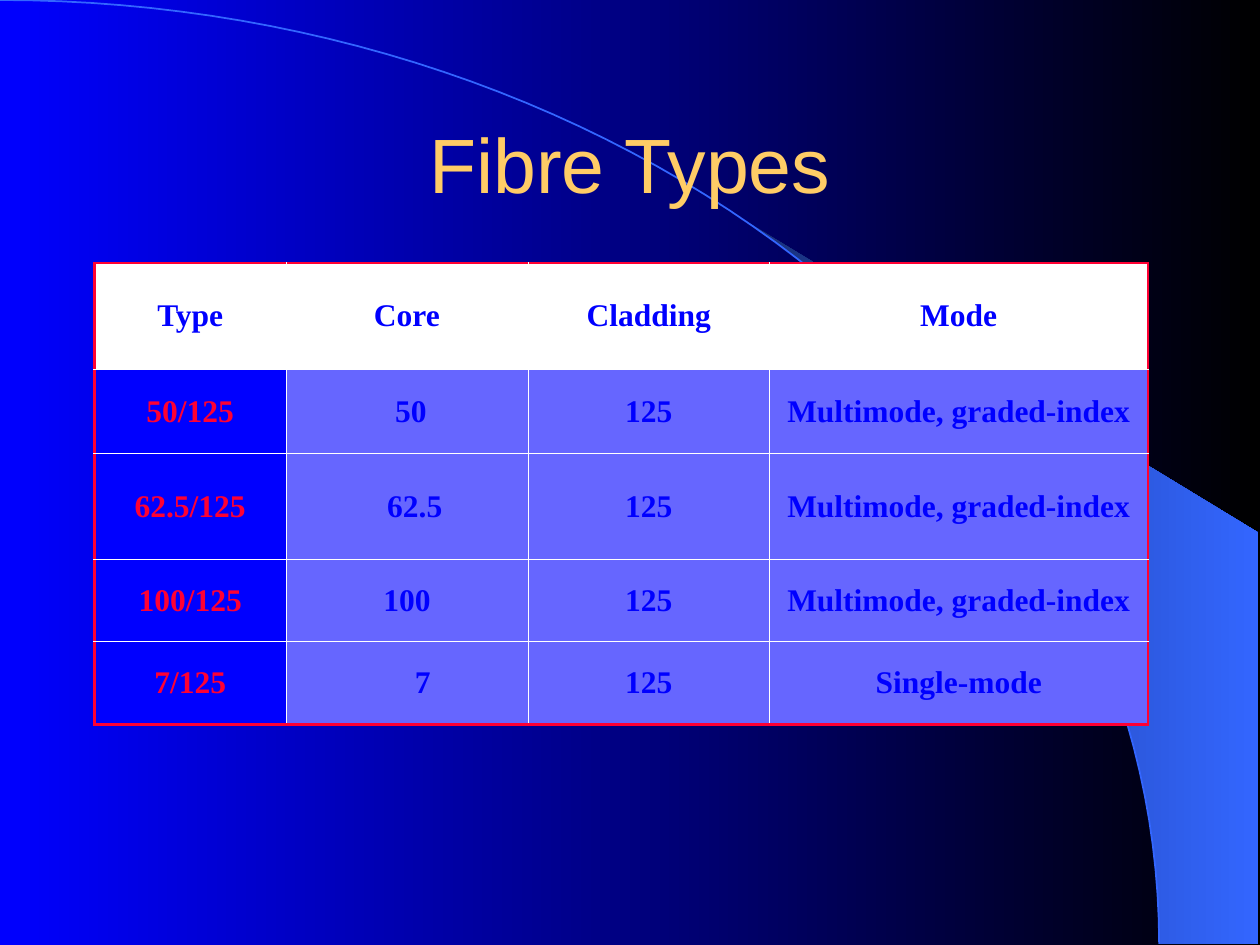
import math
from dataclasses import dataclass

from lxml import etree
from pptx import Presentation
from pptx import util as u
from pptx.dml import color as clr
from pptx.enum import text as tx
from pptx.oxml import ns


@dataclass(frozen=True)
class Theme:
    blue: str = "0000FF"
    black: str = "000000"
    white: str = "FFFFFF"
    red: str = "FF0033"
    lilac: str = "6666FF"
    gold: str = "FFCC66"
    sky: str = "3366FF"
    navy: str = "182F76"
    head: str = "Arial"
    body: str = "Times New Roman"
    big: int = 44
    small: int = 18
    thick: float = 1.47
    thin: float = 0.45


T = Theme()
COLS = [1.52, 1.92, 1.92, 3]
ROWS = [0.84, 0.67, 0.84, 0.65, 0.66]
MULTI = "Multimode, graded-index"
DATA = [
    ["Type", "Core", "Cladding", "Mode"],
    ["50/125", "50", "125", MULTI],
    ["62.5/125", "62.5", "125", MULTI],
    ["100/125", "100", "125", MULTI],
    ["7/125", "7", "125", "Single-mode"],
]
SHIFT = [0, 1, 2, 0, 4]
STEP = 0.0625


def rgb(code):
    return clr.RGBColor.from_string(code)


def apply(obj, fmt):
    for key, val in fmt.items():
        setattr(obj, key, val)


def blend(fill, first, last):
    fill.gradient()
    fill.gradient_angle = 0
    for stop, code in zip(fill.gradient_stops, (first, last)):
        stop.color.rgb = rgb(code)


def write(frame, words, face, size, code, bold=False):
    frame.text = words
    para = frame.paragraphs[0]
    apply(para, {"alignment": tx.PP_ALIGN.CENTER, "space_before": u.Pt(0)})
    font = para.runs[0].font
    apply(font, {"name": face, "size": u.Pt(size), "bold": bold})
    font.color.rgb = rgb(code)


def outline(slide, pts, close):
    pts = [(u.Inches(x), u.Inches(y)) for x, y in pts]
    pen = slide.shapes.build_freeform(*pts[0])
    pen.add_line_segments(pts[1:], close=close)
    shape = pen.convert_to_shape()
    shape.shadow.inherit = False
    return shape


def curve(box, start, count=60):
    left, top, wide, high = box
    turn = math.pi / 2 - start
    angles = [start + turn * i / count for i in range(count + 1)]
    return [(left + wide * math.sin(a), top + high * (1 - math.cos(a)))
            for a in angles]


def add_decor(slide, box):
    left, top, wide, high = box
    blend(slide.background.fill, T.blue, T.black)
    edge = left + 9.99
    wedge = curve(box, math.asin(5.89 / wide))
    wedge += [(edge, top + high), (edge, top + 4.23)]
    flare = outline(slide, wedge, True)
    blend(flare.fill, T.navy, T.sky)
    flare.line.fill.background()
    arc = outline(slide, curve(box, 0), False)
    arc.fill.background()
    arc.line.color.rgb = rgb(T.sky)
    arc.line.width = u.Pt(1)


def add_title(slide, box, words):
    title = slide.shapes.title
    names = ("left", "top", "width", "height")
    apply(title, dict(zip(names, map(u.Inches, box))))
    frame = title.text_frame
    apply(frame, {"auto_size": tx.MSO_AUTO_SIZE.NONE, "word_wrap": True,
                  "vertical_anchor": tx.MSO_ANCHOR.MIDDLE})
    write(frame, words, T.head, T.big, T.gold)
    slide.shapes._spTree.append(title._element)


def add_edge(cell, side, outer):
    code, width = (T.red, T.thick) if outer else (T.white, T.thin)
    prop = cell._tc.get_or_add_tcPr()
    line = etree.SubElement(prop, ns.qn(f"a:ln{side}"), w=str(u.Pt(width)))
    fill = etree.SubElement(line, ns.qn("a:solidFill"))
    etree.SubElement(fill, ns.qn("a:srgbClr"), val=code)


def add_grid(slide, box):
    shape = slide.shapes.add_table(len(ROWS), len(COLS), *map(u.Inches, box))
    table = shape.table
    apply(table, {"first_row": False, "horz_banding": False})
    for col, size in zip(table.columns, COLS):
        col.width = u.Inches(size)
    for row, size in zip(table.rows, ROWS):
        row.height = u.Inches(size)
    for r, line in enumerate(DATA):
        for c, words in enumerate(line):
            cell = table.cell(r, c)
            pad = 0.1 + (STEP * SHIFT[r] if c == 1 else 0)
            apply(cell, {"vertical_anchor": tx.MSO_ANCHOR.MIDDLE,
                         "margin_left": u.Inches(pad)})
            ends = {"L": c == 0, "R": c == len(COLS) - 1,
                    "T": r == 0, "B": r == len(ROWS) - 1}
            for side, outer in ends.items():
                add_edge(cell, side, outer)
            back = T.white if r == 0 else T.blue if c == 0 else T.lilac
            cell.fill.solid()
            cell.fill.fore_color.rgb = rgb(back)
            ink = T.red if r and c == 0 else T.blue
            write(cell.text_frame, words, T.body, T.small, ink, True)


def main():
    deck = Presentation()
    apply(deck, {"slide_width": u.Inches(10), "slide_height": u.Inches(7.5)})
    slide = deck.slides.add_slide(deck.slide_layouts[5])
    add_decor(slide, (0, 0, 9.2, 7.49))
    add_title(slide, (0.75, 0.67, 8.5, 1.25), "Fibre Types")
    add_grid(slide, (0.75, 2.09, sum(COLS), sum(ROWS)))
    deck.save("out.pptx")


if __name__ == "__main__":
    main()
